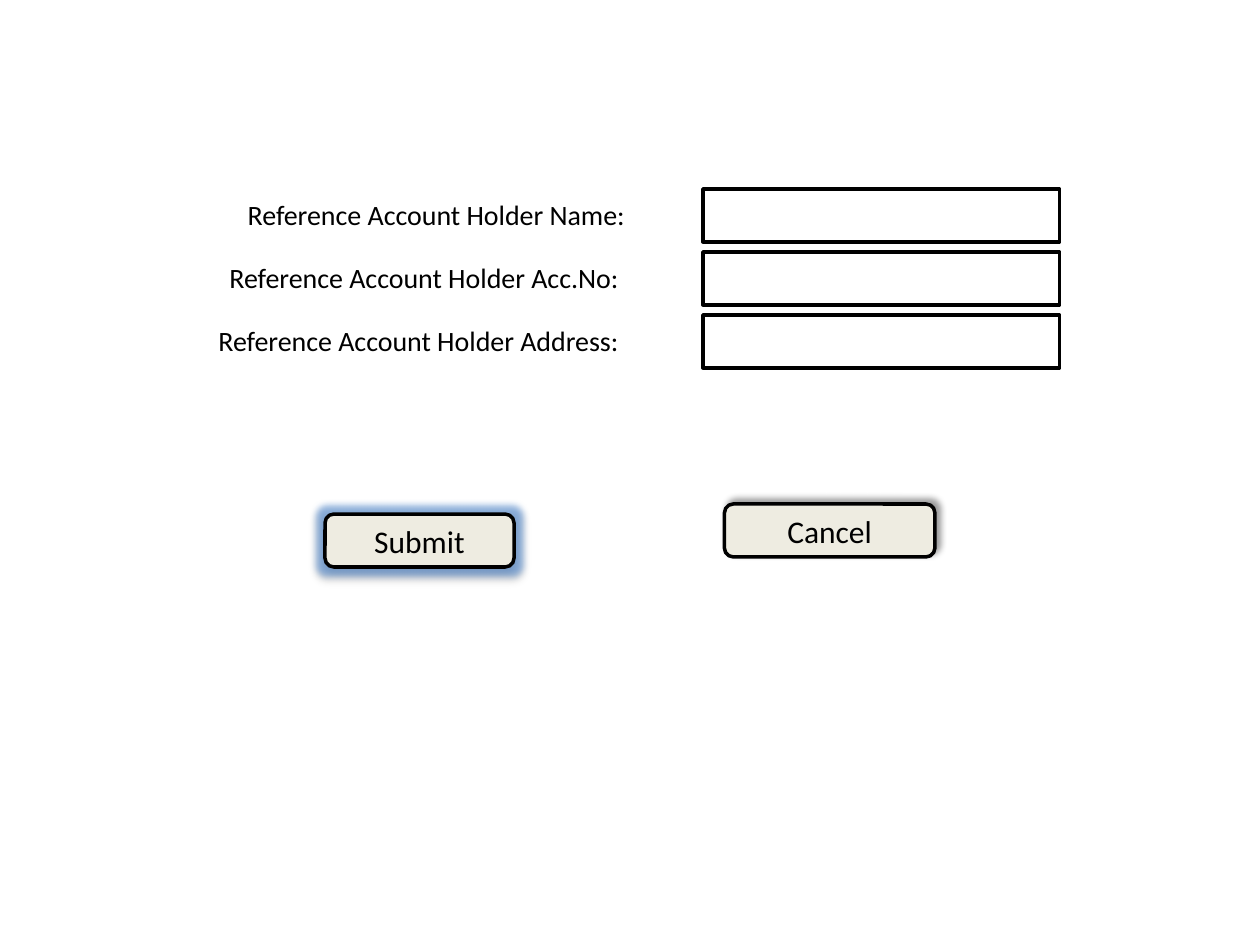
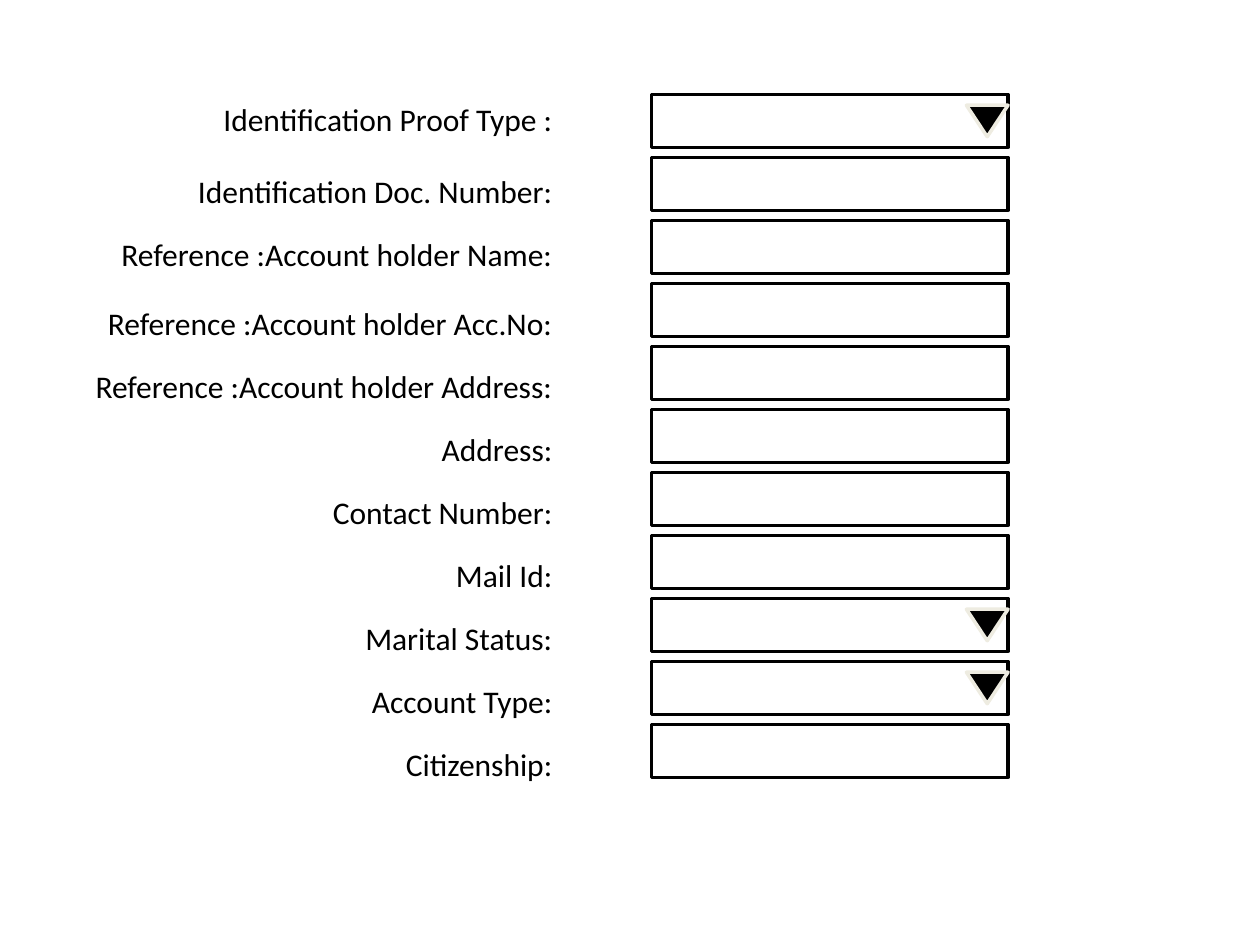
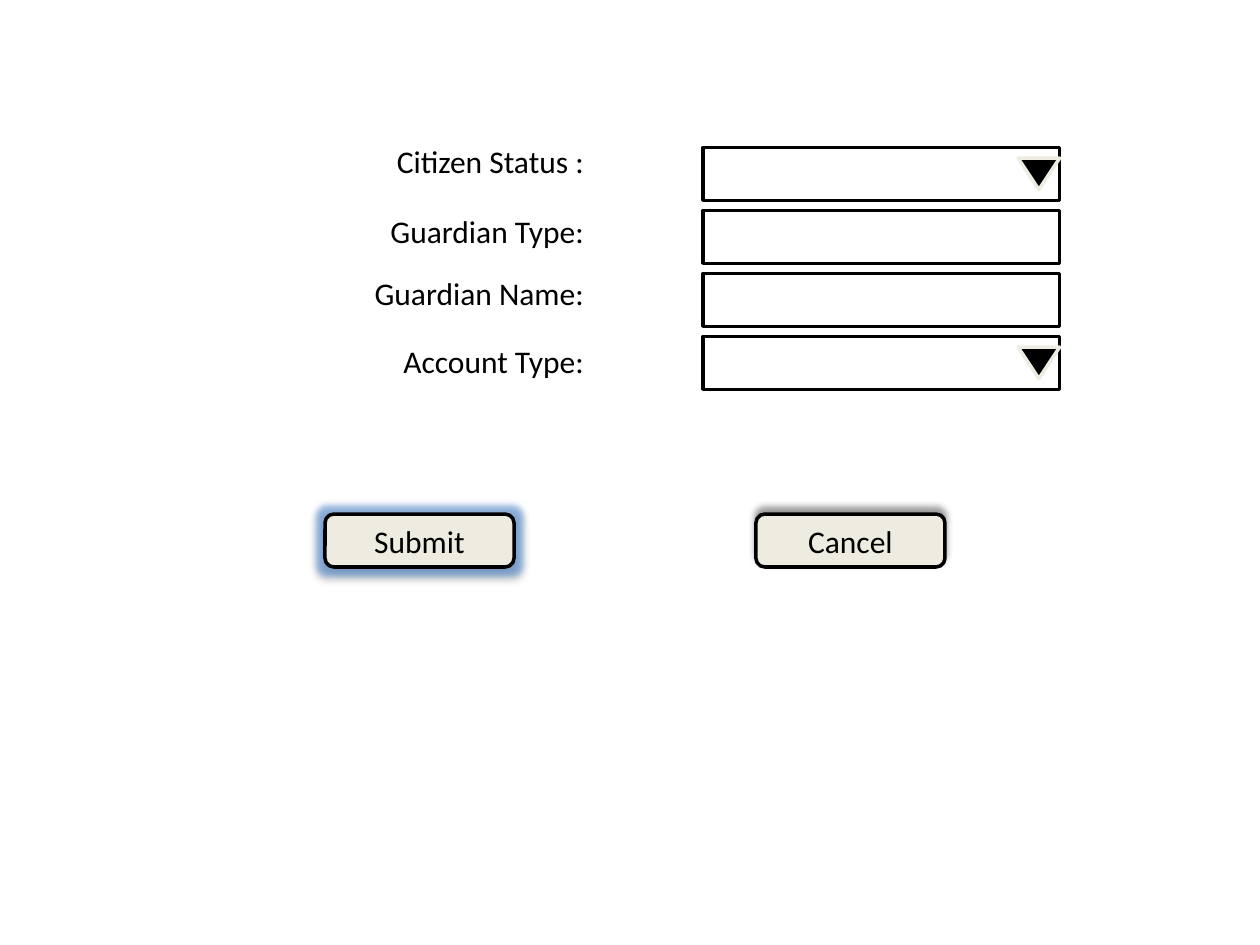
from dataclasses import dataclass

from lxml.etree import SubElement
from pptx import Presentation
from pptx.dml.color import RGBColor
from pptx.enum.shapes import MSO_SHAPE as Shape
from pptx.enum.text import MSO_ANCHOR as Anchor, PP_ALIGN as Align
from pptx.oxml.ns import qn
from pptx.util import Inches, Pt


@dataclass(frozen=True)
class Theme:
    """Colours, type and measures (inches) shared by every form."""
    ink: str = "000000"
    paper: str = "FFFFFF"
    button: str = "EEECE1"
    glow: str = "558ED5"
    font: str = "Calibri"
    size: int = 18
    line: int = 2
    spacing: float = 1.15
    pitch: float = 0.5
    field_w: float = 2.83
    field_h: float = 0.42
    arrow_w: float = 0.33
    arrow_h: float = 0.25


T = Theme()

# Shadows: opacity in %, blur and distance in points, direction in degrees
SUBMIT = dict(label="Submit", at=(2.58, 4.08), width=1.5,
              shadow=(32, 3.5, 2.2, 90), glow=8)

# labels: left, top, width of the label column; fields: left, top
FORMS = [
    dict(
        labels=(1.67, 1.53, 3.35), fields=(5.58, 1.5), size=16,
        rows=[("Reference Account Holder Name:", 0.5),
              ("Reference Account Holder Acc.No: ", 0.5),
              ("Reference Account Holder Address: ", 0.5)],
        dropdowns=[],
        buttons=[dict(label="Cancel", at=(5.75, 4), width=1.67,
                      shadow=(40, 4, 3, 315)), SUBMIT],
    ),
    dict(
        labels=(0, 0.75, 4.5), fields=(5.17, 0.75), size=T.size,
        rows=[("Identification Proof Type : ", 0.57),
              ("Identification Doc. Number: ", 0.5),
              ("Reference :Account holder Name: ", 0.55),
              ("Reference :Account holder Acc.No: ", 0.5),
              ("Reference :Account holder Address: ", 0.5),
              ("Address: ", 0.5),
              ("Contact Number: ", 0.5),
              ("Mail Id: ", 0.5),
              ("Marital Status: ", 0.5),
              ("Account Type: ", 0.5),
              ("Citizenship: ", 0.5)],
        dropdowns=[0, 8, 9],
        buttons=[],
    ),
    dict(
        labels=(1, 1.08, 3.75), fields=(5.58, 1.17), size=T.size,
        rows=[("Citizen Status : ", 0.56),
              ("Guardian Type: ", 0.49),
              ("Guardian Name: ", 0.54),
              ("Account Type: ", 0.49)],
        dropdowns=[0, 3],
        buttons=[SUBMIT, dict(label="Cancel", at=(6, 4.08), width=1.5,
                              shadow=(40, 4, 3, 270))],
    ),
]


def write(tf, text, size=T.size, align=Align.CENTER, spacing=None):
    """Put one formatted line of text into a text frame."""
    p = tf.paragraphs[0]
    p.alignment = align
    if spacing:
        p.line_spacing = spacing
    r = p.add_run()
    r.text = text
    r.font.name = T.font
    r.font.size = Pt(size)
    r.font.color.rgb = RGBColor.from_string(T.ink)


def add_box(s, kind, left, top, width, height, fill=T.paper, line=T.ink):
    """Add a filled, outlined shape without a shadow."""
    sp = s.shapes.add_shape(kind, *map(Inches, (left, top, width, height)))
    sp.shadow.inherit = False
    sp.fill.solid()
    sp.fill.fore_color.rgb = RGBColor.from_string(fill)
    sp.line.color.rgb = RGBColor.from_string(line)
    sp.line.width = Pt(T.line)
    return sp


def add_effect(sp, tag, color, opacity, **attrs):
    """Append a glow or shadow to the shape's effect list."""
    effects = sp.element.spPr.find(qn("a:effectLst"))
    effect = SubElement(effects, qn(tag),
                        {k: str(int(v)) for k, v in attrs.items()})
    clr = SubElement(effect, qn("a:srgbClr"), val=color)
    SubElement(clr, qn("a:alpha"), val=str(opacity * 1000))


def add_button(s, label, at, width, shadow, glow=None):
    """Add a rounded button with its shadow and optional glow."""
    sp = add_box(s, Shape.ROUNDED_RECTANGLE, *at, width, T.field_h,
                 fill=T.button)
    if glow:
        add_effect(sp, "a:glow", T.glow, 60, rad=Pt(glow))
    opacity, blur, dist, angle = shadow
    add_effect(sp, "a:outerShdw", T.ink, opacity, blurRad=Pt(blur),
               dist=Pt(dist), dir=angle * 60000, rotWithShape=0)
    sp.text_frame.vertical_anchor = Anchor.MIDDLE
    write(sp.text_frame, label)


def add_labels(s, rows, left, top, width, size):
    """Add the right-aligned label column as a plain table."""
    height = sum(h for _, h in rows)
    table = s.shapes.add_table(
        len(rows), 1, *map(Inches, (left, top, width, height))).table
    table.first_row = table.horz_banding = False
    for i, (text, h) in enumerate(rows):
        table.rows[i].height = Inches(h)
        cell = table.cell(i, 0)
        cell.fill.background()
        cell.margin_left = cell.margin_right = Inches(0.06)
        cell.margin_top, cell.margin_bottom = Inches(0.01), 0
        write(cell.text_frame, text, size=size, align=Align.RIGHT,
              spacing=T.spacing)


def add_fields(s, count, left, top, dropdowns):
    """Add evenly spaced input fields, then the dropdown arrows."""
    for i in range(count):
        add_box(s, Shape.RECTANGLE, left, top + i * T.pitch,
                T.field_w, T.field_h)
    inset = (T.field_h - T.arrow_h) / 2
    for i in dropdowns:
        arrow = add_box(s, Shape.ISOSCELES_TRIANGLE,
                        left + T.field_w - T.arrow_w,
                        top + i * T.pitch + inset, T.arrow_w, T.arrow_h,
                        fill=T.ink, line=T.button)
        arrow.rotation = 180


def add_form(prs, form):
    """Build one form slide."""
    s = prs.slides.add_slide(prs.slide_layouts[6])
    add_labels(s, form["rows"], *form["labels"], form["size"])
    add_fields(s, len(form["rows"]), *form["fields"], form["dropdowns"])
    for button in form["buttons"]:
        add_button(s, **button)


prs = Presentation()
prs.slide_width, prs.slide_height = Inches(10), Inches(7.5)
for form in FORMS:
    add_form(prs, form)
prs.save("out.pptx")
